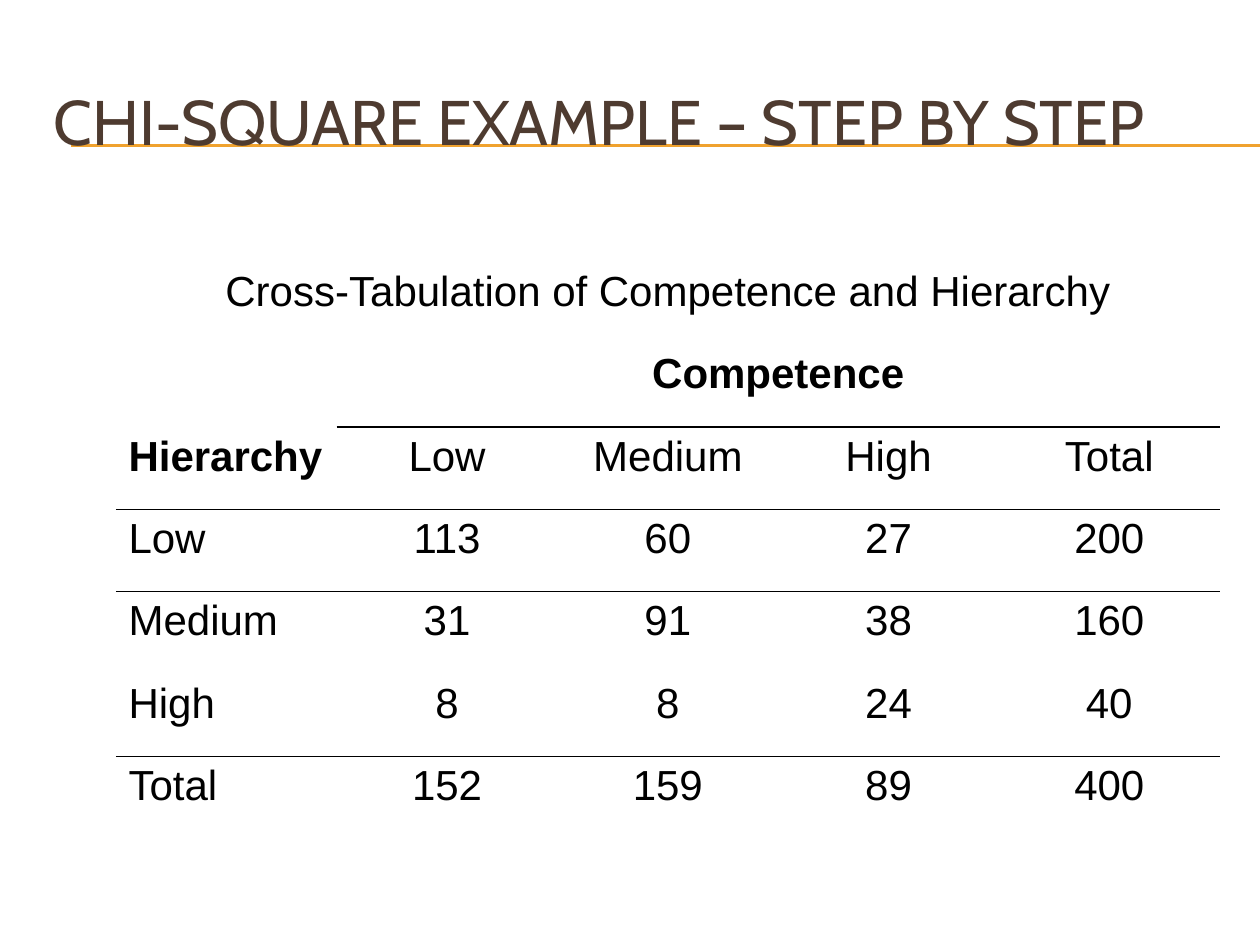
from lxml.etree import SubElement
from pptx import Presentation
from pptx.dml.color import RGBColor
from pptx.enum.shapes import MSO_CONNECTOR
from pptx.enum.text import MSO_ANCHOR, PP_ALIGN
from pptx.oxml.ns import qn
from pptx.util import Inches, Pt

BLACK = RGBColor(0x00, 0x00, 0x00)
BROWN = RGBColor(0x4E, 0x3B, 0x30)
ORANGE = RGBColor(0xF0, 0xA2, 0x2E)
NO_STYLE_NO_GRID = "{2D5ABB26-0587-4C30-8999-92F81FD0307C}"

ROWS = [
    ["Cross-Tabulation of Competence and Hierarchy", "", "", "", ""],
    ["", "Competence", "", "", ""],
    ["Hierarchy", "Low", "Medium", "High", "Total"],
    ["Low", "113", "60", "27", "200"],
    ["Medium", "31", "91", "38", "160"],
    ["High", "8", "8", "24", "40"],
    ["Total", "152", "159", "89", "400"],
]
BOLD_LABELS = ("Competence", "Hierarchy")
# Row above each rule -> first column that the rule covers
RULES = {1: 1, 2: 0, 5: 0}


def add_border(cell, edge):
    """Draw a 1 pt black border; edge is "a:lnT" or "a:lnB"."""
    line = SubElement(cell._tc.get_or_add_tcPr(), qn(edge), w=str(Pt(1)))
    fill = SubElement(line, qn("a:solidFill"))
    SubElement(fill, qn("a:srgbClr"), val=str(BLACK))


def add_run(paragraph, text, font_name, size, color, bold=False):
    run = paragraph.add_run()
    run.text = text
    run.font.name = font_name
    run.font.size = Pt(size)
    run.font.bold = bold
    run.font.color.rgb = color


presentation = Presentation()
presentation.slide_width = Inches(10)
presentation.slide_height = Inches(7.5)
slide = presentation.slides.add_slide(presentation.slide_layouts[6])

# Double rule under the title
for y in (1.15, 1.16):
    rule = slide.shapes.add_connector(
        MSO_CONNECTOR.STRAIGHT, Inches(0.56), Inches(y), Inches(10), Inches(y))
    rule.line.color.rgb = ORANGE
    rule.line.width = Pt(0.75)
    SubElement(rule._element.spPr, qn("a:effectLst"))

# Title
title = slide.shapes.add_textbox(Inches(0.33), Inches(0.17), Inches(9.17), Inches(1.57))
title_frame = title.text_frame
title_frame.word_wrap = True
title_frame.vertical_anchor = MSO_ANCHOR.MIDDLE
add_run(title_frame.paragraphs[0], "CHI-SQUARE EXAMPLE – STEP BY STEP", "Cabin", 36, BROWN)

# Cross-tabulation
table = slide.shapes.add_table(
    len(ROWS), len(ROWS[0]), Inches(0.92), Inches(2.08), Inches(8.76), Inches(4.58)).table
table.first_row = False
table.horz_banding = False
table._tbl.tblPr.find(qn("a:tableStyleId")).text = NO_STYLE_NO_GRID
table.cell(0, 0).merge(table.cell(0, 4))
table.cell(1, 1).merge(table.cell(1, 4))

for row, texts in enumerate(ROWS):
    for column, text in enumerate(texts):
        cell = table.cell(row, column)
        if column >= RULES.get(row - 1, len(texts)):
            add_border(cell, "a:lnT")
        if column >= RULES.get(row, len(texts)):
            add_border(cell, "a:lnB")
        cell.fill.background()
        if text:
            paragraph = cell.text_frame.paragraphs[0]
            centered = column > 0 or row == 0
            paragraph.alignment = PP_ALIGN.CENTER if centered else PP_ALIGN.LEFT
            add_run(paragraph, text, "Arial", 24, BLACK, text in BOLD_LABELS)

presentation.save("out.pptx")
